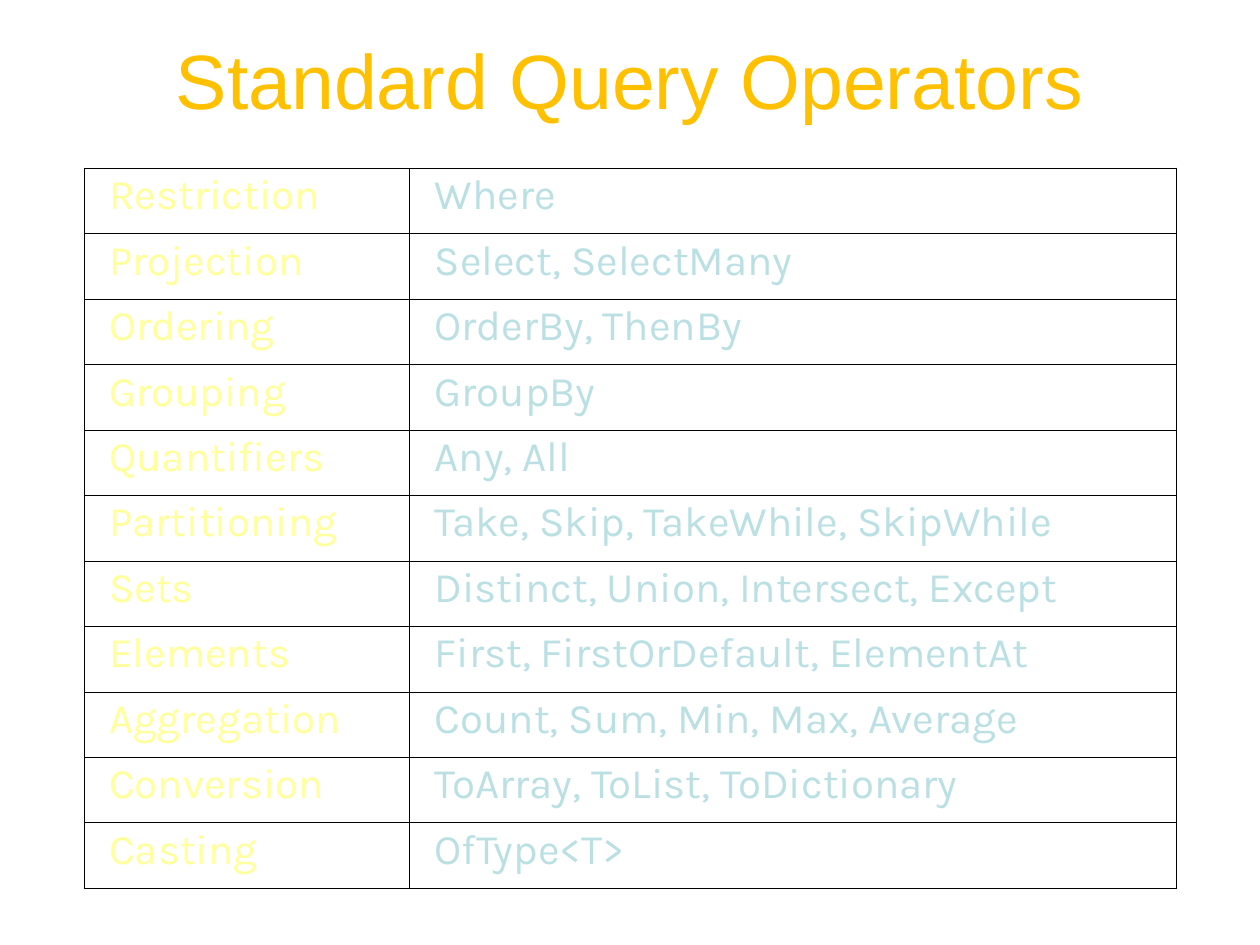
from lxml import etree
from pptx import Presentation
from pptx import util as u
from pptx.dml.color import RGBColor
from pptx.enum import text
from pptx.oxml import ns

# Grid of 120 columns by 90 rows on a 10 x 7.5 inch slide
WIDTH, HEIGHT = u.Inches(10), u.Inches(7.5)
COL, ROW = WIDTH / 120, HEIGHT / 90
TITLE_BOX = (6, 0, 108, 15)
OPERATORS_BOX = (8, 16, 104, 68.64)
CATEGORY_SHARE = 31 / 104

COLORS = {
    "title": "FFC000",
    "category": "FFFF9B",
    "operators": "BBE0E3",
    "border": "000000",
}
CELL_FORMAT = {
    "margin_left": u.Inches(0.2),
    "margin_right": u.Inches(0.2),
    "margin_top": u.Inches(0.05),
    "margin_bottom": u.Inches(0.05),
    "vertical_anchor": text.MSO_ANCHOR.TOP,
}
ENTRY_FORMAT = {
    "alignment": text.PP_ALIGN.LEFT,
    "line_spacing": 0.9,
    "space_before": u.Pt(9),
}
TITLE_FORMAT = {"word_wrap": True, "vertical_anchor": text.MSO_ANCHOR.MIDDLE}

OPERATORS = {
    "Restriction": "Where",
    "Projection": "Select, SelectMany",
    "Ordering": "OrderBy, ThenBy",
    "Grouping": "GroupBy",
    "Quantifiers": "Any, All",
    "Partitioning": "Take, Skip, TakeWhile, SkipWhile",
    "Sets": "Distinct, Union, Intersect, Except",
    "Elements": "First, FirstOrDefault, ElementAt",
    "Aggregation": "Count, Sum, Min, Max, Average",
    "Conversion": "ToArray, ToList, ToDictionary",
    "Casting": "OfType<T>",
}


def place(box):
    left, top, width, height = box
    return [u.Emu(round(n)) for n in (left * COL, top * ROW, width * COL, height * ROW)]


def apply(target, values):
    for name, value in values.items():
        setattr(target, name, value)


def write(paragraph, words, font, size, color):
    run = paragraph.add_run()
    run.text = words
    apply(run.font, {"name": font, "size": u.Pt(size)})
    run.font.color.rgb = RGBColor.from_string(COLORS[color])


def add_borders(cell):
    properties = cell._tc.get_or_add_tcPr()
    for side in ("lnL", "lnR", "lnT", "lnB"):
        line = etree.SubElement(properties, ns.qn(f"a:{side}"), w=str(u.Pt(0.45)))
        fill = etree.SubElement(line, ns.qn("a:solidFill"))
        etree.SubElement(fill, ns.qn("a:srgbClr"), val=COLORS["border"])


def add_title(slide, box):
    frame = slide.shapes.add_textbox(*place(box)).text_frame
    apply(frame, TITLE_FORMAT)
    heading = frame.paragraphs[0]
    heading.alignment = text.PP_ALIGN.CENTER
    write(heading, "Standard Query Operators", "Arial", 44, "title")


def add_operators(slide, box):
    left, top, width, height = place(box)
    table = slide.shapes.add_table(len(OPERATORS), 2, left, top, width, height).table
    apply(table, {"first_row": False, "horz_banding": False})
    category_width = round(width * CATEGORY_SHARE)
    table.columns[0].width = category_width
    table.columns[1].width = width - category_width

    for row, entries in zip(table.rows, OPERATORS.items()):
        row.height = height // len(OPERATORS)
        for cell, entry, color in zip(row.cells, entries, ("category", "operators")):
            apply(cell, CELL_FORMAT)
            add_borders(cell)
            cell.fill.background()
            paragraph = cell.text_frame.paragraphs[0]
            apply(paragraph, ENTRY_FORMAT)
            write(paragraph, entry, "Karla", 24, color)


def main():
    deck = Presentation()
    apply(deck, {"slide_width": WIDTH, "slide_height": HEIGHT})
    slide = deck.slides.add_slide(deck.slide_layouts[6])
    # Heading above, operators by category below
    add_title(slide, TITLE_BOX)
    add_operators(slide, OPERATORS_BOX)
    deck.save("out.pptx")


if __name__ == "__main__":
    main()
